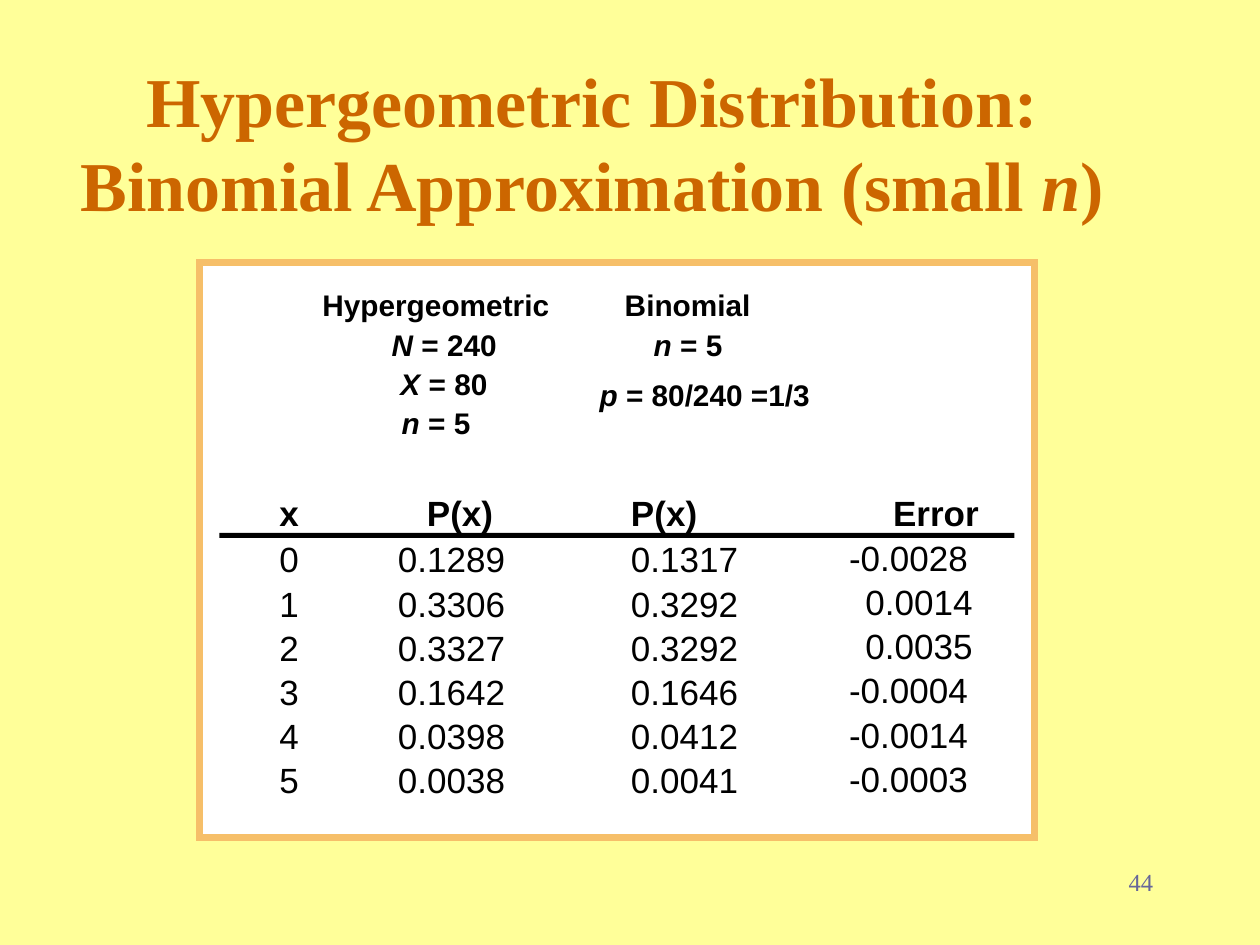
from dataclasses import dataclass

from lxml import etree
from pptx import Presentation
from pptx.dml.color import RGBColor
from pptx.enum import shapes, text
from pptx.oxml.ns import qn
from pptx.util import Inches, Pt


@dataclass(frozen=True)
class Style:
    size: int
    font: str = "Arial"
    color: str = "000000"
    bold: bool = False


@dataclass(frozen=True)
class Theme:
    background: str = "FFFF99"
    panel: str = "FFFFFF"
    border: str = "F6BF69"
    rule: str = "000000"
    title: Style = Style(40, "Times New Roman", "CC6600", True)
    parameter: Style = Style(17, bold=True)
    heading: Style = Style(20, bold=True)
    value: Style = Style(20)
    number: Style = Style(14, "Times New Roman", "666699")


THEME = Theme()
SYMBOLS = {"N", "X", "n", "p"}

# left, top, width, text parts
PARAMETERS = [
    (2.46, 2.23, 2.02, ["Hypergeometric"]),
    (3.01, 2.54, 1.05, ["N ", "= 240"]),
    (3.08, 2.85, 0.91, ["X ", "= 80"]),
    (3.09, 3.16, 0.76, ["n ", "= 5"]),
    (4.86, 2.23, 1.22, ["Binomial"]),
    (5.09, 2.54, 0.76, ["n ", "= 5"]),
    (4.66, 2.94, 1.89, ["p ", "= 80/240 =1/3"]),
]

# heading, heading left and width, value left, top and width, values
COLUMNS = [
    ("x", 2.12, 0.37, 2.12, 4.22, 0.37, ["0", "1", "2", "3", "4", "5"]),
    ("P(x)", 3.29, 0.74, 3.06, 4.22, 1.07,
     ["0.1289", "0.3306", "0.3327", "0.1642", "0.0398", "0.0038"]),
    ("P(x)", 4.91, 0.74, 4.91, 4.22, 1.07,
     ["0.1317", "0.3292", "0.3292", "0.1646", "0.0412", "0.0041"]),
    ("Error", 6.99, 0.9, 6.64, 4.21, 1.16,
     ["-0.0028", "0.0014", "0.0035", "-0.0004", "-0.0014", "-0.0003"]),
]
HEADING_TOP = 3.85
ROW_STEP = 0.35
ROW_HEIGHT = 0.43
# Values without a minus sign in the error column stand further right.
POSITIVE_ERROR_LEFT, POSITIVE_ERROR_WIDTH = 6.77, 1.07


def rgb(color):
    return RGBColor.from_string(color)


def add_text(page, left, top, width, height, parts, style):
    """Add a text box with one run per part; mathematical symbols are italic."""
    box = page.shapes.add_textbox(
        Inches(left), Inches(top), Inches(width), Inches(height))
    para = box.text_frame.paragraphs[0]
    para.text = parts[0]
    for part in parts[1:]:
        para.add_run().text = part
    for span in para.runs:
        span.font.size = Pt(style.size)
        span.font.name = style.font
        span.font.bold = style.bold
        span.font.italic = span.text.strip() in SYMBOLS
        span.font.color.rgb = rgb(style.color)
    return box


def add_label(page, left, top, width, height, parts, style):
    """Add a single-line text box that fits its text."""
    frame = add_text(page, left, top, width, height, parts, style).text_frame
    frame.word_wrap = False
    frame.auto_size = text.MSO_AUTO_SIZE.SHAPE_TO_FIT_TEXT


def add_block(page, left, top, width, height, fill, border=None):
    """Add a filled rectangle, with a sharp-cornered border if one is given."""
    block = page.shapes.add_shape(
        shapes.MSO_SHAPE.RECTANGLE,
        Inches(left), Inches(top), Inches(width), Inches(height))
    block.shadow.inherit = False
    block.fill.solid()
    block.fill.fore_color.rgb = rgb(fill)
    if border:
        block.line.color.rgb = rgb(border)
        block.line.width = Pt(4)
        outline = block.element.spPr.find(qn("a:ln"))
        etree.SubElement(outline, qn("a:miter"), lim="800000")
    else:
        block.line.fill.background()


def add_title(page):
    parts = ["Hypergeometric Distribution:\vBinomial Approximation (small ", "n", ")"]
    frame = add_text(page, 0.17, 0.5, 9.06, 1.25, parts, THEME.title).text_frame
    frame.word_wrap = True
    frame.vertical_anchor = text.MSO_ANCHOR.MIDDLE
    frame.paragraphs[0].alignment = text.PP_ALIGN.CENTER


def add_parameters(page):
    for left, top, width, parts in PARAMETERS:
        add_label(page, left, top, width, 0.38, parts, THEME.parameter)


def add_column(page, heading, heading_left, heading_width, left, top, width, values):
    add_label(page, heading_left, HEADING_TOP, heading_width, ROW_HEIGHT,
              [heading], THEME.heading)
    for row, value in enumerate(values):
        place = left, width
        if heading == "Error" and not value.startswith("-"):
            place = POSITIVE_ERROR_LEFT, POSITIVE_ERROR_WIDTH
        add_label(page, place[0], top + row * ROW_STEP, place[1], ROW_HEIGHT,
                  [value], THEME.value)


def add_page_number(page):
    frame = add_text(page, 8.42, 6.83, 0.83, 0.5, ["44"], THEME.number).text_frame
    frame.word_wrap = True
    frame.paragraphs[0].alignment = text.PP_ALIGN.RIGHT


def main():
    deck = Presentation()
    deck.slide_width, deck.slide_height = Inches(10), Inches(7.5)
    page = deck.slides.add_slide(deck.slide_layouts[6])
    page.background.fill.solid()
    page.background.fill.fore_color.rgb = rgb(THEME.background)

    add_title(page)
    add_block(page, 1.58, 2.08, 6.63, 4.57, THEME.panel, THEME.border)
    add_parameters(page)
    add_block(page, 1.74, 4.23, 6.31, 0.04, THEME.rule)
    for column in COLUMNS:
        add_column(page, *column)
    add_page_number(page)
    deck.save("out.pptx")


if __name__ == "__main__":
    main()
